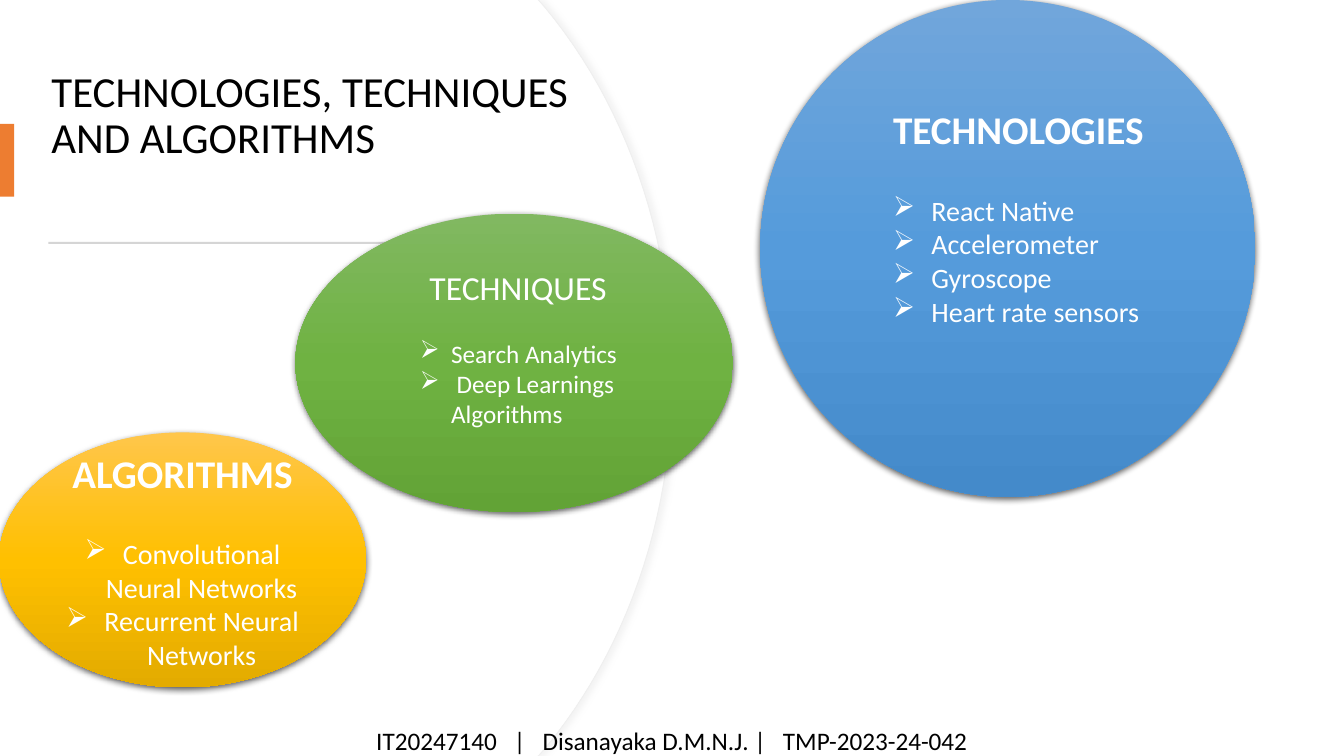
from copy import deepcopy
from dataclasses import dataclass

from lxml import etree
from pptx import Presentation
from pptx import util as u
from pptx.dml.color import RGBColor
from pptx.enum import shapes, text
from pptx.oxml import ns

Inches, Pt = u.Inches, u.Pt
CENTER, LEFT = text.PP_ALIGN.CENTER, text.PP_ALIGN.LEFT


@dataclass(frozen=True)
class Theme:
    font: str = "Calibri"
    ink: str = "000000"
    paper: str = "FFFFFF"
    accent: str = "ED7D31"
    rule: str = "D5D5D5"
    panel_line: str = "EFEFEF"
    panel_shadow: str = "D9D9D9"
    blue: tuple = ("71A6DB", "559BDB", "448ACA")
    green: tuple = ("81B861", "6FB242", "62A336")
    gold: tuple = ("FFC64B", "FFC000", "E3AB00")
    title: float = 30.6
    heading: int = 28
    subheading: int = 24
    item: int = 20
    small: int = 18


def write(para, words, *, theme, size, color, bold=False, align=LEFT,
          margin=0, hang=0, bullet=None, after=0, spacing=1):
    """Fill a paragraph with one formatted span; margin and hang are inches."""
    para.alignment = align
    para.line_spacing = spacing
    para.space_before, para.space_after = Pt(0), Pt(after)
    span = para.add_run()
    span.text = words
    span.font.name, span.font.size, span.font.bold = theme.font, Pt(size), bold
    span.font.color.rgb = RGBColor.from_string(color)
    props = para._p.get_or_add_pPr()
    props.set("marL", str(Inches(margin)))
    props.set("indent", str(Inches(-hang)))
    if bullet:
        etree.SubElement(props, ns.qn("a:buChar")).set("char", bullet)
    else:
        etree.SubElement(props, ns.qn("a:buNone"))


def cast_shadow(shape, color, alpha, blur, distance, angle):
    """Give the shape an outer shadow; blur and distance are points."""
    shape.shadow.inherit = False
    effects = shape._element.spPr.find(ns.qn("a:effectLst"))
    outer = etree.SubElement(effects, ns.qn("a:outerShdw"), blurRad=str(Pt(blur)),
                             dist=str(Pt(distance)), dir=str(angle * 60000),
                             algn="ctr", rotWithShape="0")
    tint = etree.SubElement(outer, ns.qn("a:srgbClr"), val=color)
    etree.SubElement(tint, ns.qn("a:alpha"), val=str(alpha * 1000))


def bezier(start, first, second, end, steps=24):
    for step in range(1, steps + 1):
        t = step / steps
        weights = ((1 - t) ** 3, 3 * t * (1 - t) ** 2, 3 * t * t * (1 - t), t ** 3)
        yield tuple(sum(w * p[axis] for w, p in zip(weights, (start, first, second, end)))
                    for axis in (0, 1))


class Page:
    def __init__(self, deck, theme):
        self.theme = theme
        self.slide = deck.slides.add_slide(deck.slide_layouts[5])
        self.shapes = self.slide.shapes

    def paint(self, shape, color):
        shape.fill.solid()
        shape.fill.fore_color.rgb = RGBColor.from_string(color)
        shape.line.fill.background()
        shape.shadow.inherit = False

    def panel(self, right, outlined=False):
        """Full-height white panel whose right edge bulges out to `right`."""
        top, shoulder, middle = (right - 1.33, 0), (right - 1.26, 0.08), (right, 3.75)
        upper = [top, shoulder, *bezier(shoulder, (right - 0.48, 1.02),
                                        (right, 2.32), middle)]
        lower = [(x, 7.5 - y) for x, y in reversed(upper[:-1])]
        outline = self.shapes.build_freeform(0, 0)
        outline.add_line_segments([(Inches(x), Inches(y))
                                   for x, y in [*upper, *lower, (0, 7.5)]])
        panel = outline.convert_to_shape()
        self.paint(panel, self.theme.paper)
        if outlined:
            panel.line.color.rgb = RGBColor.from_string(self.theme.panel_line)
            panel.line.width = Pt(0.75)
            cast_shadow(panel, self.theme.panel_shadow, 30, 4, 3, 0)

    def place(self, box, bounds):
        box.left, box.top, box.width, box.height = map(Inches, bounds)
        frame = box.text_frame
        frame.word_wrap = True
        frame.auto_size = text.MSO_AUTO_SIZE.NONE
        frame.vertical_anchor = text.MSO_ANCHOR.MIDDLE
        return frame

    def title(self, words, bounds):
        box = self.shapes.title
        self.shapes._spTree.append(box._element)  # bring in front of the panels
        write(self.place(box, bounds).paragraphs[0], words, theme=self.theme,
              size=self.theme.title, color=self.theme.ink, spacing=0.9)

    def bar(self, bounds, color):
        bar = self.shapes.add_shape(shapes.MSO_SHAPE.RECTANGLE, *map(Inches, bounds))
        self.paint(bar, color)

    def bubble(self, bounds, colors, heading, items, heading_format, item_format,
               lift=0.05):
        """Gradient ellipse with a heading and bullets; lift is its bottom inset."""
        bubble = self.shapes.add_shape(shapes.MSO_SHAPE.OVAL, *map(Inches, bounds))
        bubble.line.fill.background()
        bubble.fill.gradient()
        stops = bubble.fill._fill._gradFill.gsLst
        stops.insert(1, deepcopy(stops[0]))
        for stop, position, color in zip(bubble.fill.gradient_stops, (0, 0.5, 1), colors):
            stop.position = position
            stop.color.rgb = RGBColor.from_string(color)
        bubble.fill.gradient_angle = 270
        cast_shadow(bubble, self.theme.ink, 63, 4.5, 1.5, 90)
        frame = self.place(bubble, bounds)
        frame.margin_bottom = Inches(lift)
        base = dict(theme=self.theme, color=self.theme.paper)
        write(frame.paragraphs[0], heading, **base, **heading_format)
        for item in items:
            write(frame.add_paragraph(), item, bullet="➢", **base, **item_format)

    def footer(self, words, bounds):
        box = self.shapes.add_textbox(*map(Inches, bounds))
        write(self.place(box, bounds).paragraphs[0], words, theme=self.theme,
              size=self.theme.small, color=self.theme.ink, align=CENTER)


def main():
    theme = Theme()
    deck = Presentation()
    deck.slide_width, deck.slide_height = Inches(13.33), Inches(7.5)
    page = Page(deck, theme)
    page.panel(6.67, outlined=True)
    page.panel(6.66)
    page.title("TECHNOLOGIES, TECHNIQUES AND ALGORITHMS", (0.41, 0.65, 5.46, 1.02))
    page.bar((0, 1.23, 0.14, 0.72), theme.accent)
    page.bar((0.48, 2.4, 5.45, 0.02), theme.rule)
    page.bubble((7.54, 0, 4.91, 4.93), theme.blue, "TECHNOLOGIES",
                ["React Native", "Accelerometer", "Gyroscope", "Heart rate sensors"],
                dict(size=theme.heading, bold=True, margin=0.5, after=29),
                dict(size=theme.item, margin=0.88, hang=0.38), lift=0.68)
    page.bubble((2.93, 2.12, 4.34, 2.96), theme.green, " TECHNIQUES",
                ["Search Analytics", " Deep Learnings Algorithms"],
                dict(size=theme.subheading, align=CENTER, after=22),
                dict(size=theme.small, margin=0.81, hang=0.31), lift=0.35)
    page.bubble((-0.01, 4.29, 3.64, 2.53), theme.gold, "ALGORITHMS",
                ["Convolutional Neural Networks", "Recurrent Neural Networks"],
                dict(size=theme.heading, bold=True, align=CENTER, after=29),
                dict(size=theme.item, align=CENTER, margin=0.38, hang=0.38))
    page.footer("IT20247140   |   Disanayaka D.M.N.J. |   TMP-2023-24-042",
                (0, 7.23, 13.33, 0.23))
    deck.save("out.pptx")


if __name__ == "__main__":
    main()
